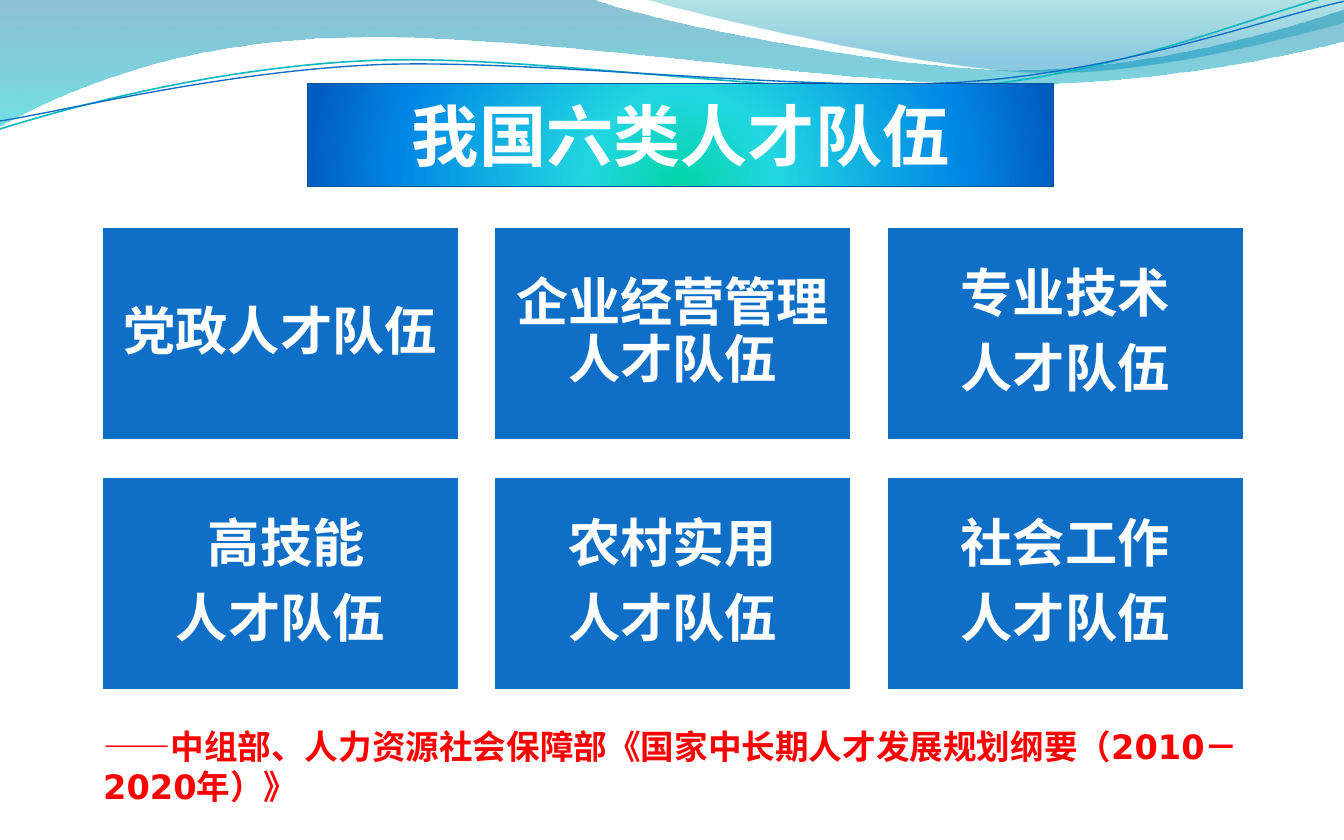
import pptx
import pptx.util
import pptx.dml.color
import pptx.enum.shapes
import pptx.enum.text
import pptx.oxml
import pptx.oxml.ns

# Content
TITLE = "我国六类人才队伍"
TEAMS = [
    ["党政人才队伍"],
    ["企业经营管理人才队伍"],
    ["专业技术", "人才队伍"],
    [" 高技能", "人才队伍"],
    ["农村实用", "人才队伍"],
    ["社会工作", "人才队伍"],
]
SOURCE_NOTE = "——中组部、人力资源社会保障部《国家中长期人才发展规划纲要（2010－2020年）》"

THEME = {
    "white": "FFFFFF", "card": "0F6FC6", "note": "FF0000", "title_line": "095295",
    "title_size": 36, "card_size": 28, "note_size": 18,
    "title_font": "Noto Sans CJK SC", "card_font": "Cambria",
    "note_font": "DejaVu Sans", "east_asian": "Noto Sans CJK SC",
}
# Gradient stops: position %, colour, opacity %
TITLE_STOPS = [(0, "03D4A8", 100), (25, "21D6E0", 100), (75, "0087E6", 100), (100, "005CBF", 100)]
DOWNWARD = '<a:lin ang="5400000" scaled="0"/>'
FROM_BOTTOM = ('<a:path path="circle"><a:fillToRect l="50000" t="100000" '
               'r="50000" b="0"/></a:path>')

# Wave outlines: a pair is a straight step, six numbers are a cubic curve
WAVES = [
    {"start": (0, 0), "stops": [(0, "0074A1", 45), (100, "00C6CF", 55)],
     "steps": [(4.4, -0.01), (4.76, 0.14, 6.64, 0.52, 7.58, 0.52),
               (8.53, 0.52, 9.58, 0.21, 10, 0.07), (10.01, 0.3),
               (9.83, 0.36, 8.7, 0.63, 7.46, 0.63), (6.22, 0.63, 3.82, 0.23, 2.57, 0.28),
               (1.29, 0.3, 0.46, 0.69, -0.01, 0.94)]},
    {"start": (4.79, -0.01), "stops": [(0, "00A1A9", 30), (80, "008BBF", 45)],
     "steps": [(5.09, 0.09, 6.82, 0.51, 7.69, 0.54), (8.56, 0.57, 9.61, 0.27, 10, 0.17), (10, 0)]},
    {"start": (0, 0.96), "line": ("0AB8BF", 0.85),
     "steps": [(0.48, 0.81, 1.58, 0.5, 2.77, 0.45), (3.95, 0.4, 5.92, 0.73, 7.12, 0.65),
               (8.33, 0.56, 9.39, 0.09, 9.98, -0.05)]},
    {"start": (0, 0.9), "line": ("0F6FC6", 0.75),
     "steps": [(0.47, 0.83, 1.64, 0.53, 2.83, 0.48), (4.03, 0.44, 5.97, 0.69, 7.17, 0.61),
               (8.36, 0.53, 9.41, 0.14, 10, 0.01)]},
]

# Layout
PAGE_W, PAGE_H = 10, 6.25
COLUMNS, ROWS = 3, 2
GRID_LEFT, GRID_TOP, GRID_W, GRID_H = 0.75, 1.68, 8.51, 3.46
CARD_W, CARD_H = 2.67, 1.6

inches = pptx.util.Inches
RECTANGLE = pptx.enum.shapes.MSO_SHAPE.RECTANGLE
CENTER = pptx.enum.text.PP_ALIGN.CENTER
MIDDLE = pptx.enum.text.MSO_ANCHOR.MIDDLE
NAMESPACE = pptx.oxml.ns.nsdecls("a")


def rgb(value):
    return pptx.dml.color.RGBColor.from_string(value)


def apply_format(target, values):
    for name, value in values.items():
        setattr(target, name, value)


def set_gradient(shape, stops, direction):
    shape.fill.gradient()
    old = shape._element.spPr.find(pptx.oxml.ns.qn("a:gradFill"))
    marks = "".join(
        f'<a:gs pos="{place * 1000}"><a:srgbClr val="{colour}">'
        f'<a:alpha val="{opacity * 1000}"/></a:srgbClr></a:gs>'
        for place, colour, opacity in stops)
    old.getparent().replace(old, pptx.oxml.parse_xml(
        f'<a:gradFill {NAMESPACE} rotWithShape="1">'
        f'<a:gsLst>{marks}</a:gsLst>{direction}</a:gradFill>'))


def set_line(shape, colour, width):
    shape.line.color.rgb = rgb(colour)
    shape.line.width = pptx.util.Pt(width)


def write_text(box, lines, kind, colour, paragraph_format, margin=None):
    frame = box.text_frame
    frame.word_wrap = True
    if margin is not None:
        sides = ("left", "right", "top", "bottom")
        apply_format(frame, {f"margin_{side}": inches(margin) for side in sides})
    for index, line in enumerate(lines):
        para = frame.paragraphs[0] if index == 0 else frame.add_paragraph()
        apply_format(para, paragraph_format)
        span = para.add_run()
        span.text = line
        apply_format(span.font, {"name": THEME[kind + "_font"], "bold": True,
                                 "size": pptx.util.Pt(THEME[kind + "_size"])})
        span.font.color.rgb = rgb(colour)
        span.font._element.find(pptx.oxml.ns.qn("a:latin")).addnext(pptx.oxml.parse_xml(
            f'<a:ea {NAMESPACE} typeface="{THEME["east_asian"]}"/>'))


def bend_curves(shape, steps):
    """Join the three straight segments of each curved step into one cubic curve."""
    segments = iter(list(shape._element.iter(pptx.oxml.ns.qn("a:lnTo"))))
    for step in steps:
        group = [next(segments) for _ in range(len(step) // 2)]
        if len(group) == 3:
            curve = pptx.oxml.parse_xml(f'<a:cubicBezTo {NAMESPACE}/>')
            group[0].addprevious(curve)
            for segment in group:
                curve.append(segment[0])
                segment.getparent().remove(segment)


def add_wave(page, wave):
    points = [(inches(x), inches(y)) for step in [wave["start"], *wave["steps"]]
              for x, y in zip(step[::2], step[1::2])]
    builder = page.shapes.build_freeform(*points[0])
    builder.add_line_segments(points[1:], close="stops" in wave)
    shape = builder.convert_to_shape()
    bend_curves(shape, wave["steps"])
    shape.shadow.inherit = False
    if "stops" in wave:
        set_gradient(shape, wave["stops"], DOWNWARD)
        shape.line.fill.background()
    else:
        shape.fill.background()
        set_line(shape, *wave["line"])


def add_rectangle(page, left, top, width, height):
    shape = page.shapes.add_shape(RECTANGLE, *map(inches, (left, top, width, height)))
    shape.shadow.inherit = False
    shape.text_frame.vertical_anchor = MIDDLE
    return shape


def main():
    deck = pptx.Presentation()
    deck.slide_width, deck.slide_height = inches(PAGE_W), inches(PAGE_H)
    page = deck.slides.add_slide(deck.slide_layouts[6])

    # Waves along the top
    for wave in WAVES:
        add_wave(page, wave)

    # Grid of team cards
    pitch_x = (GRID_W - CARD_W) / (COLUMNS - 1)
    pitch_y = (GRID_H - CARD_H) / (ROWS - 1)
    card_format = {"alignment": CENTER, "line_spacing": 0.9, "space_after": pptx.util.Pt(10)}
    for index, lines in enumerate(TEAMS):
        row, column = divmod(index, COLUMNS)
        card = add_rectangle(page, GRID_LEFT + column * pitch_x,
                             GRID_TOP + row * pitch_y, CARD_W, CARD_H)
        card.fill.solid()
        card.fill.fore_color.rgb = rgb(THEME["card"])
        set_line(card, THEME["white"], 2)
        write_text(card, lines, "card", THEME["white"], card_format, margin=0.12)

    # Title banner
    banner = add_rectangle(page, 2.29, 0.62, 5.55, 0.77)
    set_gradient(banner, TITLE_STOPS, FROM_BOTTOM)
    set_line(banner, THEME["title_line"], 0.75)
    write_text(banner, [TITLE], "title", THEME["white"], {"alignment": CENTER})

    # Source note
    note = page.shapes.add_textbox(*map(inches, (0.67, 5.35, 8.66, 0.71)))
    write_text(note, [SOURCE_NOTE], "note", THEME["note"], {})

    deck.save("out.pptx")


if __name__ == "__main__":
    main()
